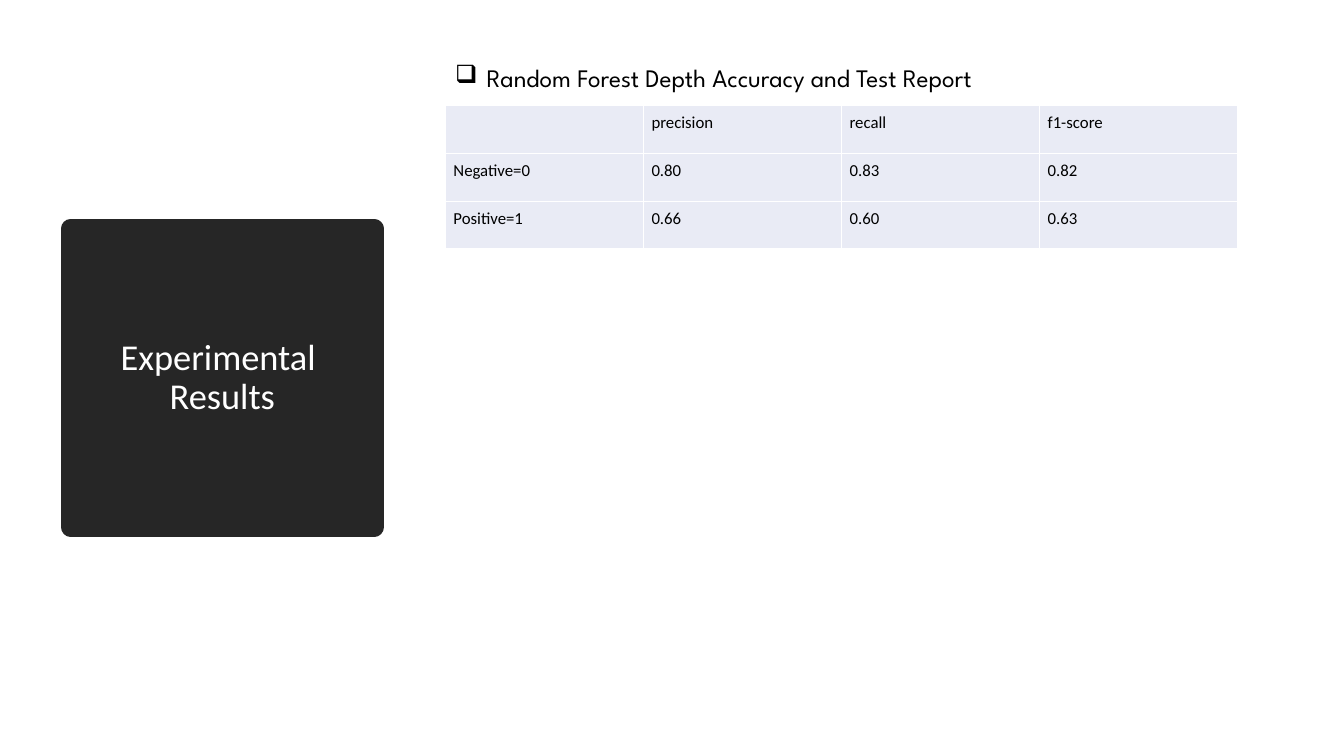
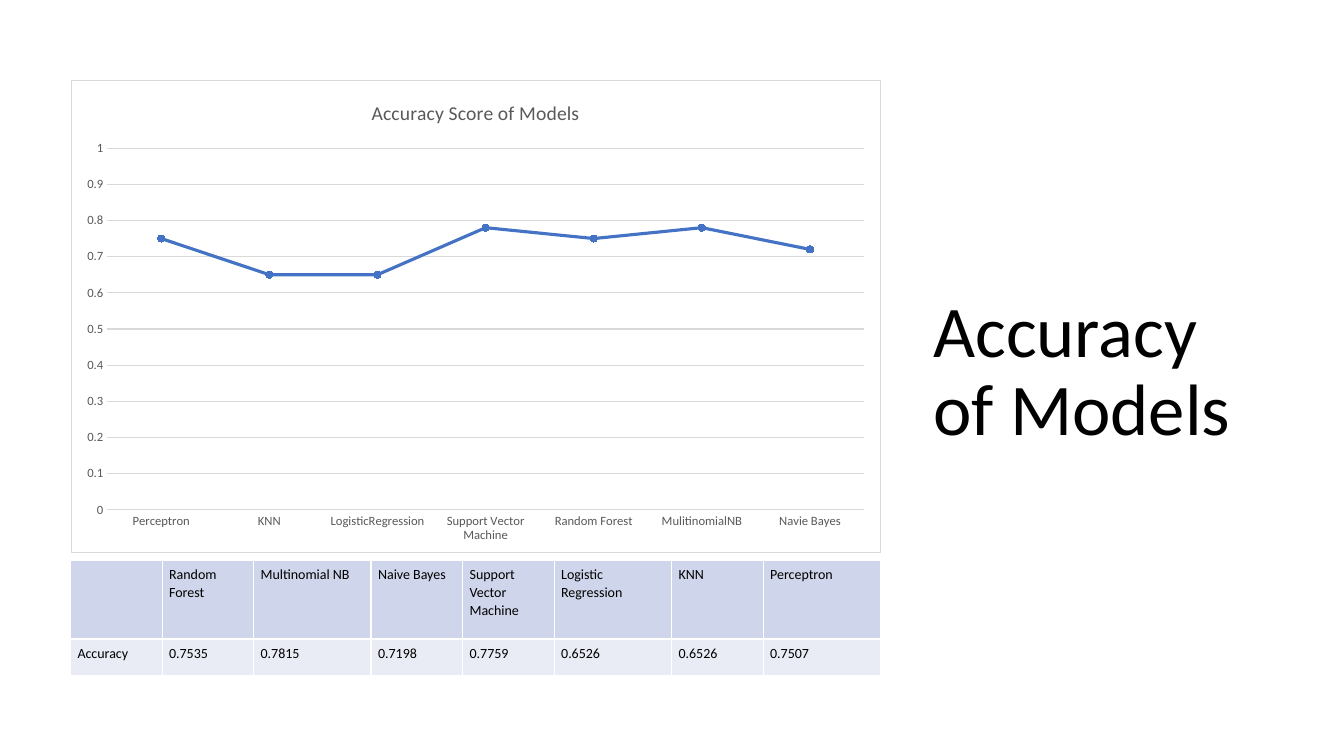
from lxml import etree
from pptx import Presentation
from pptx.chart.data import CategoryChartData
from pptx.dml.color import RGBColor
from pptx.enum.chart import XL_CHART_TYPE, XL_MARKER_STYLE, XL_TICK_MARK
from pptx.enum.shapes import MSO_SHAPE
from pptx.enum.text import MSO_ANCHOR, PP_ALIGN
from pptx.oxml import parse_xml
from pptx.oxml.ns import nsdecls, qn
from pptx.util import Pt

RECTANGLE = MSO_SHAPE.RECTANGLE
LINE_MARKERS = XL_CHART_TYPE.LINE_MARKERS
CIRCLE = XL_MARKER_STYLE.CIRCLE
NO_TICK = XL_TICK_MARK.NONE
MIDDLE = MSO_ANCHOR.MIDDLE
LEFT = PP_ALIGN.LEFT
CENTER = PP_ALIGN.CENTER

BLACK = RGBColor(0x00, 0x00, 0x00)
WHITE = RGBColor(0xFF, 0xFF, 0xFF)
CHARCOAL = RGBColor(0x26, 0x26, 0x26)
GRAY = RGBColor(0x59, 0x59, 0x59)
LIGHT_GRAY = RGBColor(0xD9, 0xD9, 0xD9)
BLUE = RGBColor(0x44, 0x72, 0xC4)
HEADER_BLUE = RGBColor(0xCF, 0xD5, 0xEA)
PALE_BLUE = RGBColor(0xE9, 0xEB, 0xF5)

BODY_FONT = "Calibri"
BULLET_FONT = "League Spartan"
MARGIN = 50.4
CONTENT_LEFT = 318

REPORT = [
    ["", "precision", "recall", "f1-score"],
    ["Negative=0", "0.80", "0.83", "0.82"],
    ["Positive=1", "0.66", "0.60", "0.63"],
]
ACCURACY = [
    ["", "Random Forest", "Multinomial NB", "Naive Bayes", "Support Vector Machine",
     "Logistic Regression", "KNN", "Perceptron"],
    ["Accuracy", "0.7535", "0.7815", "0.7198", "0.7759", "0.6526", "0.6526", "0.7507"],
]
CHART_SCORES = {
    "Perceptron": 0.75,
    "KNN": 0.65,
    "LogisticRegression": 0.65,
    "Support Vector Machine": 0.78,
    "Random Forest": 0.75,
    "MulitinomialNB": 0.78,
    "Navie Bayes": 0.72,
}


def apply_format(target, values):
    for name, value in values.items():
        setattr(target, name, value)


def format_font(font, size, color=BLACK, name=BODY_FONT):
    apply_format(font, {"size": Pt(size), "name": name, "bold": False})
    font.color.rgb = color


def format_line(line, color, width):
    line.color.rgb = color
    line.width = Pt(width)


def add_text(slide, box, text, size, name=BODY_FONT):
    shape = slide.shapes.add_textbox(*map(Pt, box))
    shape.text_frame.word_wrap = True
    paragraph = shape.text_frame.paragraphs[0]
    run = paragraph.add_run()
    run.text = text
    format_font(run.font, size, name=name)
    return shape


def add_bullet(slide, box, text, size):
    paragraph = add_text(slide, box, text, size, BULLET_FONT).text_frame.paragraphs[0]
    properties = paragraph._p.get_or_add_pPr()
    properties.set("marL", str(Pt(22.5)))
    properties.set("indent", str(-Pt(22.5)))
    etree.SubElement(properties, qn("a:buChar")).set("char", "❑")


def add_title(slide, box, text, size):
    shape = add_text(slide, box, text, size)
    shape.text_frame.vertical_anchor = MIDDLE
    shape.text_frame.paragraphs[0].line_spacing = 0.9


def add_title_block(slide, box, text, size):
    shape = slide.shapes.add_shape(RECTANGLE, *map(Pt, box))
    shape.shadow.inherit = False
    shape.fill.solid()
    shape.fill.fore_color.rgb = CHARCOAL
    format_line(shape.line, CHARCOAL, 13.75)
    etree.SubElement(shape.line._get_or_add_ln(), qn("a:round"))
    frame = shape.text_frame
    apply_format(frame, {"word_wrap": True, "vertical_anchor": MIDDLE})
    paragraph = frame.paragraphs[0]
    paragraph.text = text
    apply_format(paragraph, {"alignment": CENTER, "line_spacing": 0.9})
    for run in paragraph.runs:
        format_font(run.font, size, WHITE)


def add_cell_borders(cell):
    properties = cell._tc.get_or_add_tcPr()
    for index, side in enumerate(("lnL", "lnR", "lnT", "lnB")):
        border = parse_xml(
            f'<a:{side} {nsdecls("a")} w="{Pt(1)}"><a:solidFill>'
            f'<a:srgbClr val="{WHITE}"/></a:solidFill></a:{side}>')
        properties.insert(index, border)


def format_cell(cell, text, size, fill, insets):
    horizontal, vertical = map(Pt, insets)
    apply_format(cell, {"text": text, "margin_left": horizontal, "margin_right": horizontal,
                        "margin_top": vertical, "margin_bottom": vertical})
    paragraph = cell.text_frame.paragraphs[0]
    apply_format(paragraph, {"alignment": LEFT, "line_spacing": 1.07})
    format_font(paragraph.font, size)
    for run in paragraph.runs:
        format_font(run.font, size)
    cell.fill.solid()
    cell.fill.fore_color.rgb = fill
    add_cell_borders(cell)


def add_data_table(slide, left, top, rows, widths, heights, fills, size, insets):
    box = (left, top, sum(widths), sum(heights))
    table = slide.shapes.add_table(len(rows), len(widths), *map(Pt, box)).table
    apply_format(table, {"first_row": False, "horz_banding": False})
    for column, width in zip(table.columns, widths):
        column.width = Pt(width)
    for row, height, fill, texts in zip(table.rows, heights, fills, rows):
        row.height = Pt(height)
        for cell, text in zip(row.cells, texts):
            format_cell(cell, text, size, fill, insets)


def format_axes(chart):
    for axis in (chart.category_axis, chart.value_axis):
        apply_format(axis, {"major_tick_mark": NO_TICK, "minor_tick_mark": NO_TICK})
        format_font(axis.tick_labels.font, 9, GRAY)
    format_line(chart.category_axis.format.line, LIGHT_GRAY, 0.75)
    value_axis = chart.value_axis
    apply_format(value_axis, {"minimum_scale": 0, "maximum_scale": 1, "major_unit": 0.1})
    value_axis.format.line.fill.background()
    format_line(value_axis.major_gridlines.format.line, LIGHT_GRAY, 0.75)


def format_series(series):
    series.smooth = False
    format_line(series.format.line, BLUE, 2.25)
    marker = series.marker
    apply_format(marker, {"style": CIRCLE, "size": 5})
    marker.format.fill.solid()
    marker.format.fill.fore_color.rgb = BLUE
    format_line(marker.format.line, BLUE, 0.75)


def add_chart_frame(chart):
    frame = parse_xml(
        f'<c:spPr {nsdecls("c", "a")}><a:solidFill><a:srgbClr val="{WHITE}"/></a:solidFill>'
        f'<a:ln w="{Pt(0.75)}"><a:solidFill><a:srgbClr val="{LIGHT_GRAY}"/></a:solidFill>'
        f'</a:ln></c:spPr>')
    chart._chartSpace.find(qn("c:chart")).addnext(frame)


def add_line_chart(slide, box, title, scores):
    data = CategoryChartData()
    data.categories = list(scores)
    data.add_series("Series 1", list(scores.values()))
    chart = slide.shapes.add_chart(LINE_MARKERS, *map(Pt, box), data).chart
    format_font(chart.font, 10)
    chart.has_legend = False
    chart.plots[0].vary_by_categories = False
    run = chart.chart_title.text_frame.paragraphs[0].add_run()
    run.text = title
    format_font(run.font, 14, GRAY)
    format_axes(chart)
    format_series(chart.plots[0].series[0])
    add_chart_frame(chart)


def build_results(slide):
    add_title_block(slide, (MARGIN, 163.5, 217, 213), "Experimental \vResults", 26)
    add_data_table(slide, CONTENT_LEFT, 75.6, REPORT, [141.5] * 4, [34.1] * 3,
                   [PALE_BLUE] * 3, 12, (5.9, 3.9))
    add_bullet(slide, (CONTENT_LEFT, 40.8, 480, 29),
               "Random Forest Depth Accuracy and Test Report", 18)


def build_accuracy(slide):
    narrow, wide = 65.4, 83.9
    widths = [narrow, narrow, wide, narrow, narrow, wide, narrow, wide]
    add_line_chart(slide, (MARGIN, 57.3, sum(widths), 337.8),
                   "Accuracy Score of Models", CHART_SCORES)
    add_title(slide, (659.5, MARGIN, 253, 432), "Accuracy of Models", 52)
    add_data_table(slide, MARGIN, 400.3, ACCURACY, widths, [56.2, 25.8],
                   [HEADER_BLUE, PALE_BLUE], 10, (5, 3.5))


def main():
    presentation = Presentation()
    apply_format(presentation, {"slide_width": Pt(960), "slide_height": Pt(540)})
    for build in (build_results, build_accuracy):
        build(presentation.slides.add_slide(presentation.slide_layouts[6]))
    presentation.save("out.pptx")


if __name__ == "__main__":
    main()
